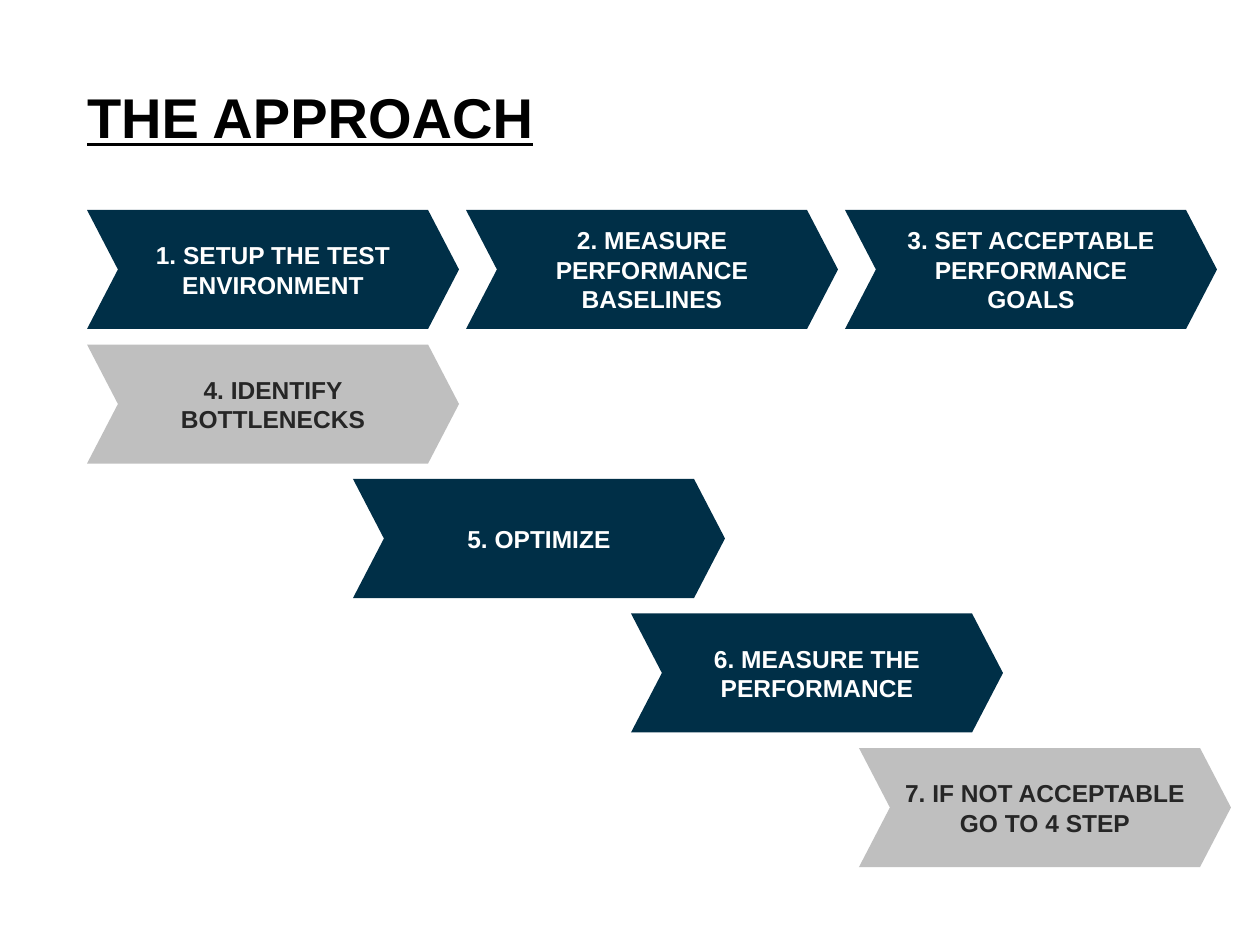
from pptx import Presentation
from pptx.dml.color import RGBColor
from pptx.enum.shapes import MSO_SHAPE
from pptx.enum.text import MSO_ANCHOR, PP_ALIGN
from pptx.util import Pt

CHEVRON = MSO_SHAPE.CHEVRON
MIDDLE = MSO_ANCHOR.MIDDLE
CENTER = PP_ALIGN.CENTER
SCALE = 914400 / 126

THEME = {
    "font": "Arial",
    "title": Pt(32),
    "label": Pt(14),
    "black": RGBColor.from_string("000000"),
    "white": RGBColor.from_string("FFFFFF"),
    "dark": RGBColor.from_string("262626"),
    "navy": RGBColor.from_string("002F47"),
    "gray": RGBColor.from_string("BFBFBF"),
}


def px(*nums):
    return [round(num * SCALE) for num in nums]


def write(frame, text, size, color, line):
    para = frame.paragraphs[0]
    run = para.add_run()
    run.text = text
    run.font.color.rgb = THEME[color]
    font = {"name": THEME["font"], "size": THEME[size], "bold": True,
            "underline": size == "title"}
    for part, values in ((run.font, font), (para, line)):
        for key, value in values.items():
            setattr(part, key, value)


deck = Presentation()
deck.slide_width, deck.slide_height = px(1260, 945)
slide = deck.slides.add_slide(deck.slide_layouts[6])

LEFT, TOP, WIDE, HIGH = 87, 210, 372, 119
COL, ROW = 379, 134.5

title = slide.shapes.add_textbox(*px(LEFT, 69, 1089, 74)).text_frame
frame = {"word_wrap": True, "margin_left": 0, "margin_right": 0,
         "margin_top": 0, "margin_bottom": 0}
for key, value in frame.items():
    setattr(title, key, value)
write(title, "THE APPROACH", "title", "black", {"line_spacing": 1.2})

steps = [
    ("SETUP THE TEST ENVIRONMENT", LEFT, 0, "navy"),
    ("MEASURE PERFORMANCE BASELINES", LEFT + COL, 0, "navy"),
    ("SET ACCEPTABLE PERFORMANCE GOALS", LEFT + 2 * COL, 0, "navy"),
    ("IDENTIFY BOTTLENECKS", LEFT, 1, "gray"),
    ("OPTIMIZE", 353, 2, "navy"),
    ("MEASURE THE PERFORMANCE", 631, 3, "navy"),
    ("IF NOT ACCEPTABLE GO TO 4 STEP", 859, 4, "gray"),
]
ink = {"navy": "white", "gray": "dark"}

for num, (text, left, row, fill) in enumerate(steps, 1):
    step = slide.shapes.add_shape(CHEVRON, *px(left, TOP + row * ROW, WIDE, HIGH))
    step.adjustments[0] = 0.26
    step.shadow.inherit = False
    step.fill.solid()
    step.fill.fore_color.rgb = THEME[fill]
    step.line.fill.background()
    step.text_frame.word_wrap = True
    step.text_frame.vertical_anchor = MIDDLE
    write(step.text_frame, f"{num}. {text}", "label", ink[fill], {"alignment": CENTER})

deck.save("out.pptx")
